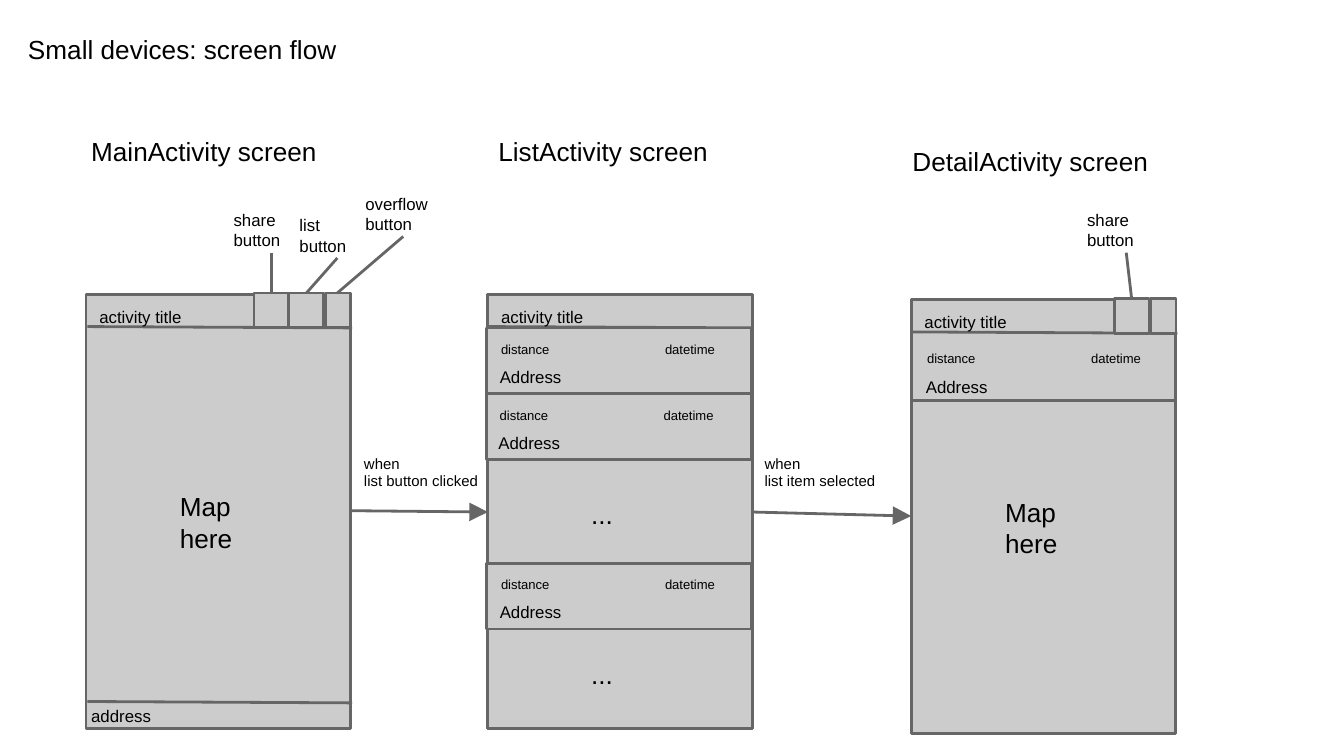
from pptx import Presentation
from pptx.dml.color import RGBColor
from pptx.enum.shapes import MSO_CONNECTOR, MSO_SHAPE
from pptx.enum.text import MSO_ANCHOR, MSO_AUTO_SIZE
from pptx.oxml.ns import qn
from pptx.util import Inches, Pt
from lxml.etree import SubElement

COLORS = {"fill": "CCCCCC", "line": "666666", "text": "000000"}
FONT = "Arial"
WIDE, TALL, BAR, ROW = 1.97, 3.23, 0.26, 0.49
MAIN, LIST, DETAIL = (0.64, 2.19), (3.63, 2.19), (6.78, 2.23)

HEADS = [
    (0.11, 0.15, 4.35, 0.51, "Small devices: screen flow"),
    (0.58, 0.91, 3.64, 0.43, "MainActivity screen"),
    (3.61, 0.91, 1.98, 0.43, "ListActivity screen"),
    (6.69, 0.98, 2.52, 0.43, "DetailActivity screen"),
]
BUTTONS = {
    MAIN: [(1.78, 0.19), (1.51, 0.26), (1.25, 0.26)],
    DETAIL: [(1.78, 0.19), (1.51, 0.26)],
}
CALLS = [
    (1.64, 1.46, "share", (2.02, 1.88), (2.02, 2.18)),
    (2.13, 1.50, "list", (2.51, 1.92), (2.28, 2.18)),
    (2.62, 1.34, "overflow", (3.00, 1.76), (2.51, 2.18)),
    (7.99, 1.46, "share", (8.38, 1.88), (8.42, 2.22)),
]
ITEMS = [(3.62, 2.44, 0.01), (3.62, 2.93, 0), (3.62, 4.19, 0.01)]
DOTS = [3.61, 4.80]
FLOWS = [
    ((2.61, 3.80), (3.63, 3.81), 2.61, "list button clicked"),
    ((5.60, 3.81), (6.78, 3.84), 5.59, "list item selected"),
]

deck = Presentation()
deck.slide_width = Inches(10)
deck.slide_height = deck.slide_width * 9 // 16
slide = deck.slides.add_slide(deck.slide_layouts[6])
shapes = slide.shapes


def paint(line):
    line.color.rgb = RGBColor.from_string(COLORS["line"])
    line.width = Pt(1.5)


def box(x, y, w, h):
    rect = shapes.add_shape(MSO_SHAPE.RECTANGLE, *map(Inches, (x, y, w, h)))
    rect.shadow.inherit = False
    rect.fill.solid()
    rect.fill.fore_color.rgb = RGBColor.from_string(COLORS["fill"])
    paint(rect.line)


def link(start, end, arrow=False):
    wire = shapes.add_connector(MSO_CONNECTOR.STRAIGHT, *map(Inches, start + end))
    paint(wire.line)
    props = wire._element.spPr
    if arrow:
        SubElement(props.find(qn("a:ln")), qn("a:tailEnd"), type="triangle", w="lg", len="lg")
    SubElement(props, qn("a:effectLst"))


def text(x, y, w, h, size, *lines, tab=None):
    frame = shapes.add_textbox(*map(Inches, (x, y, w, h))).text_frame
    frame.word_wrap = True
    frame.auto_size = MSO_AUTO_SIZE.NONE
    frame.vertical_anchor = MSO_ANCHOR.TOP
    frame.margin_left = frame.margin_right = Inches(0.1)
    frame.margin_top = frame.margin_bottom = Inches(0.1)
    for n, words in enumerate(lines):
        para = frame.add_paragraph() if n else frame.paragraphs[0]
        if tab:
            stops = SubElement(para._p.get_or_add_pPr(), qn("a:tabLst"))
            SubElement(stops, qn("a:tab"), pos=str(Inches(tab)), algn="l")
        run = para.add_run()
        run.text = words
        run.font.name, run.font.size = FONT, Pt(size)
        run.font.color.rgb = RGBColor.from_string(COLORS["text"])


def screen(x, y):
    box(x, y, WIDE, TALL)
    link((x + 0.01, y + 0.24), (x + 1.98, y + 0.25))
    text(x, y - 0.01, 0.89, BAR, 9, "activity title")
    for shift, width in BUTTONS.get((x, y), []):
        box(x + shift, y - 0.01, width, BAR)


def entry(x, y):
    text(x, y, WIDE, 0.23, 7, "distance\tdatetime", tab=1.22)
    text(x - 0.01, y + 0.19, 1.98, 0.26, 9, "Address")


for spot in (MAIN, LIST, DETAIL):
    screen(*spot)
for x, y in (MAIN, DETAIL):
    text(x + 0.6, y + 1.36, 0.77, 0.43, 14, "Map", "here")
link((0.65, 5.22), (2.62, 5.23))
text(0.58, 5.15, 0.71, 0.34, 9, "address")

for x, y, shift in ITEMS:
    box(x, y, WIDE, ROW)
    entry(x + shift, y)
for y in DOTS:
    text(4.3, y, 0.89, 0.51, 14, "...")

entry(6.8, 2.51)
link((6.78, 2.98), (8.75, 2.98))

for x, y, name, start, end in CALLS:
    text(x, y, 0.77, 0.43, 9, name, "button")
    link(start, end)
for start, end, x, cause in FLOWS:
    link(start, end, arrow=True)
    text(x, 3.28, 1.18, 0.53, 8, "when", cause)
for x, y, w, h, words in HEADS:
    text(x, y, w, h, 14, words)

deck.save("out.pptx")
